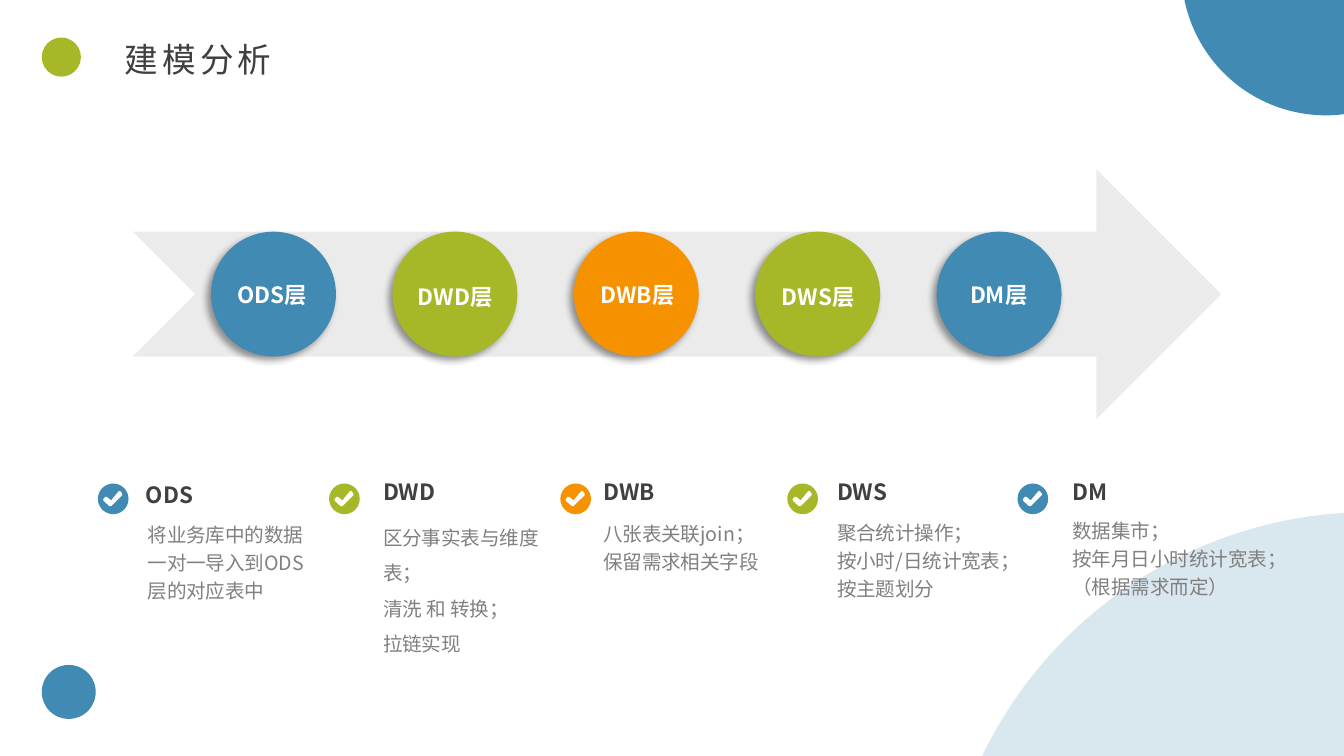
import pptx
import pptx.util
import pptx.dml.color
import pptx.enum.shapes
import pptx.enum.text
import pptx.oxml.ns
from lxml import etree

Cm = pptx.util.Cm
Pt = pptx.util.Pt
qn = pptx.oxml.ns.qn
KIND = pptx.enum.shapes.MSO_SHAPE
ALIGN = pptx.enum.text.PP_ALIGN
FONT = "Noto Sans CJK SC"
HUE = {
    "blue": "418AB3",
    "green": "A6B727",
    "orange": "F69200",
    "band": "D9D9D9",
    "dark": "404040",
    "gray": "808080",
    "white": "FFFFFF",
    "black": "000000",
}
TICK = [
    (0.46, 0.22), (0.28, 0.4), (0.25, 0.43), (0.22, 0.43),
    (0.11, 0.33), (0.1, 0.3), (0.14, 0.25), (0.18, 0.26),
    (0.25, 0.32), (0.39, 0.15), (0.42, 0.14), (0.46, 0.19),
]
STEPS = [
    ("ODS", "blue", 0.25, 0.81),
    ("DWD", "green", 0.23, 0.84),
    ("DWB", "orange", 0.25, 0.81),
    ("DWS", "green", 0.25, 0.84),
    ("DM", "blue", 0.38, 0.81),
]
NOTES = [
    ((1.85, 9.14, 4.2, 2.88), "ODS", "blue", (0.66, -0.17), (0.69, 0.54), Pt(15),
     ["将业务库中的数据一对一导入到ODS层的对应表中"]),
    ((6.22, 9.14, 4.48, 3.33), "DWD", "green", (0.77, -0.22), (0.77, 0.46), 1.5,
     ["区分事实表与维度表；", "清洗 和 转换；", "拉链实现"]),
    ((10.59, 9.14, 4.07, 1.78), "DWB", "orange", (0.56, -0.22), (0.56, 0.51), Pt(15),
     ["八张表关联join；", "保留需求相关字段"]),
    ((14.88, 9.14, 4.45, 2.29), "DWS", "green", (0.69, -0.22), (0.69, 0.49), Pt(15),
     ["聚合统计操作；", "按小时/日统计宽表；", "按主题划分"]),
    ((19.23, 9.14, 4.98, 2.8), "DM", "blue", (0.79, -0.22), (0.79, 0.46), Pt(15),
     ["数据集市；", "按年月日小时统计宽表；", "（根据需求而定）"]),
]


def paint(shape, hue, alpha=None):
    shape.shadow.inherit = False
    shape.fill.solid()
    shape.fill.fore_color.rgb = pptx.dml.color.RGBColor.from_string(HUE[hue])
    shape.line.fill.background()
    if alpha:
        tint = shape._element.spPr.find(qn("a:solidFill"))[0]
        etree.SubElement(tint, qn("a:alpha"), val=str(alpha * 1000))
    return shape


def draw(slide, kind, box, hue, alpha=None):
    shape = slide.shapes.add_shape(kind, *map(Cm, box))
    return paint(shape, hue, alpha)


def shade(shape):
    list_ = shape._element.spPr.find(qn("a:effectLst"))
    outer = etree.SubElement(
        list_, qn("a:outerShdw"), blurRad=str(Pt(4)), dist=str(Pt(3)),
        dir="8100000", algn="tr", rotWithShape="0")
    tint = etree.SubElement(outer, qn("a:srgbClr"), val=HUE["black"])
    etree.SubElement(tint, qn("a:alpha"), val="40000")


def write(slide, box, lines, size=12, hue="dark", bold=False, lead=None,
          align=None, track=None):
    frame = slide.shapes.add_textbox(*map(Cm, box)).text_frame
    frame.word_wrap = True
    frame.auto_size = pptx.enum.text.MSO_AUTO_SIZE.SHAPE_TO_FIT_TEXT
    for i, line in enumerate(lines):
        para = frame.add_paragraph() if i else frame.paragraphs[0]
        para.alignment = align
        para.line_spacing = lead
        run = para.add_run()
        run.text = line
        run.font.name = FONT
        run.font.size = Pt(size)
        run.font.bold = bold
        run.font.color.rgb = pptx.dml.color.RGBColor.from_string(HUE[hue])
        props = run._r.get_or_add_rPr()
        etree.SubElement(props, qn("a:ea"), typeface=FONT)
        if track:
            props.set("spc", str(int(track * 100)))


def decor(slide, box):
    x, y, w, h = box
    dots = [
        (17.75, 9.68, 16.31, "blue", 20),
        (22.33, -3.28, 5.46, "blue", None),
        (0.79, 12.57, 1.02, "blue", None),
        (0.79, 0.71, 0.74, "green", None),
    ]
    for left, top, size, hue, alpha in dots:
        draw(slide, KIND.FLOWCHART_CONNECTOR, (x + left, y + top, size, size), hue, alpha)


def title(slide, box):
    write(slide, box, ["建模分析"], size=18, align=ALIGN.JUSTIFY, track=2.2)


def flow(slide, box):
    x, y, w, h = box
    size = h / 2
    draw(slide, KIND.NOTCHED_RIGHT_ARROW, box, "band", 50)
    for i, (name, hue, dx, dy) in enumerate(STEPS):
        left, top = x + 1.48 + i * w / 6, y + h / 4
        shade(draw(slide, KIND.OVAL, (left, top, size, size), hue))
        write(slide, (left + dx, top + dy, 2.29, 0.76), [name + "层"], hue="white", bold=True)


def badge(slide, box, hue):
    x, y, w, h = box
    draw(slide, KIND.OVAL, box, hue)
    spots = [(Cm(x + dx), Cm(y + dy)) for dx, dy in TICK]
    pen = slide.shapes.build_freeform(*spots[0])
    pen.add_line_segments(spots[1:], close=True)
    paint(pen.convert_to_shape(), "white")


def note(slide, box, name, hue, head, body, lead, lines):
    x, y, w, h = box
    badge(slide, (x, y, 0.58, 0.58), hue)
    write(slide, (x + head[0], y + head[1], 2.29, 0.76), [name], bold=True)
    write(slide, (x + body[0], y + body[1], w - body[0], h - body[1]), lines,
          size=10.5, hue="gray", lead=lead)


def main():
    deck = pptx.Presentation()
    deck.slide_width, deck.slide_height = Cm(25.4), Cm(14.29)
    slide = deck.slides.add_slide(deck.slide_layouts[6])
    decor(slide, (0, 0, 25.4, 14.29))
    title(slide, (2.11, 0.61, 4.88, 1.02))
    flow(slide, (2.51, 3.2, 20.57, 4.72))
    for item in NOTES:
        note(slide, *item)
    deck.save("out.pptx")


if __name__ == "__main__":
    main()
